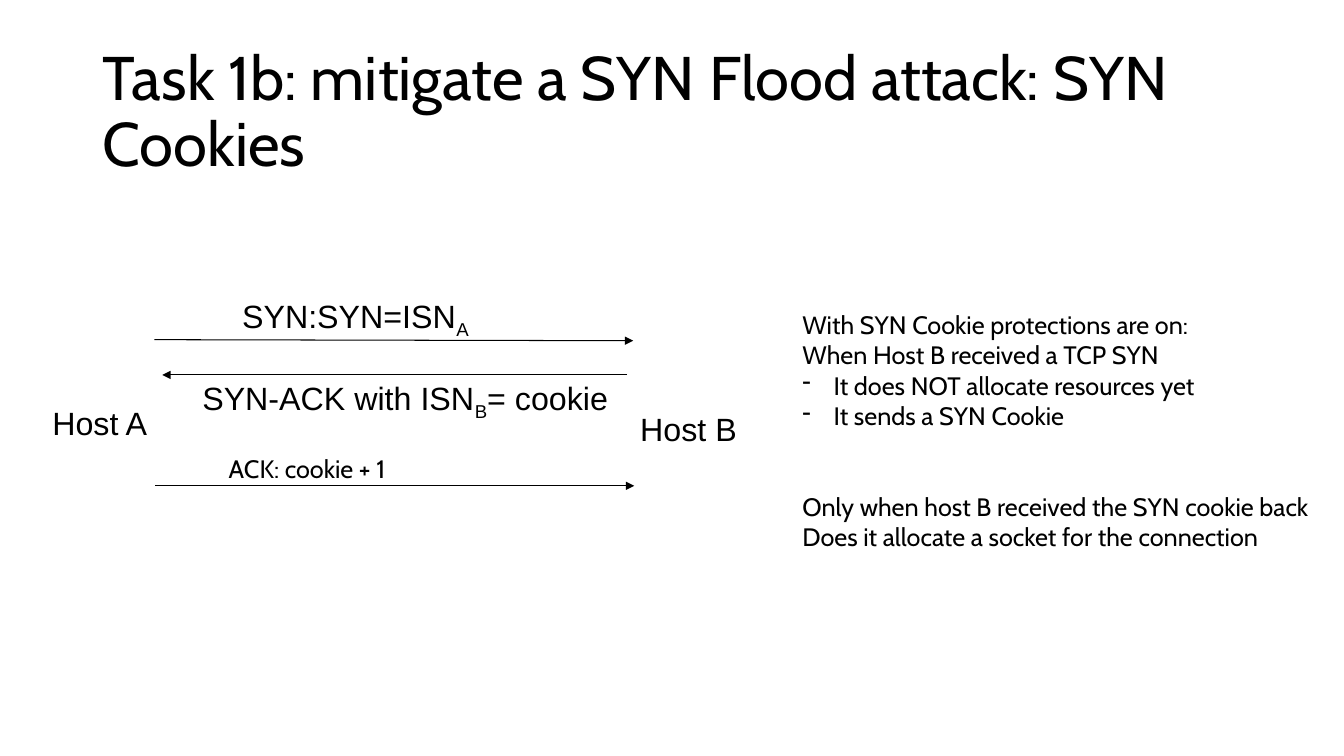
from lxml import etree
from pptx import Presentation
from pptx.dml.color import RGBColor
from pptx.enum.shapes import MSO_CONNECTOR
from pptx.enum.text import MSO_ANCHOR, MSO_AUTO_SIZE, PP_ALIGN
from pptx.oxml.ns import qn
from pptx.util import Inches, Pt

BLACK = RGBColor(0, 0, 0)
WHITE = RGBColor(255, 255, 255)
LEFT, CENTER = PP_ALIGN.LEFT, PP_ALIGN.CENTER
MIDDLE = MSO_ANCHOR.MIDDLE
GROW, FIXED = MSO_AUTO_SIZE.SHAPE_TO_FIT_TEXT, MSO_AUTO_SIZE.NONE
STRAIGHT = MSO_CONNECTOR.STRAIGHT
SANS, HUMAN = "Arial", "Cabin"


def style(font, name, size):
    font.name, font.size = name, Pt(size)
    font.color.rgb = BLACK


def add_text(slide, box):
    frame = slide.shapes.add_textbox(*map(Inches, box)).text_frame
    frame.word_wrap = False
    frame.auto_size = GROW
    return frame


def add_label(slide, box, parts):
    """Centred label; every second part is a subscript."""
    frame = add_text(slide, box)
    frame.margin_left = frame.margin_right = Inches(0.14)
    frame.margin_top = frame.margin_bottom = Inches(0.07)
    para = frame.paragraphs[0]
    para.alignment = CENTER
    for i, part in enumerate(parts):
        run = para.add_run()
        run.text = part
        style(run.font, SANS, 23)
        if i % 2:
            run.font._element.set("baseline", "-25000")


def add_arrow(slide, start, end):
    line = slide.shapes.add_connector(STRAIGHT, *map(Inches, start + end))
    line.line.color.rgb = BLACK
    line.line.width = Pt(0.75)
    etree.SubElement(line.line._get_or_add_ln(), qn("a:tailEnd"), type="triangle")
    etree.SubElement(line._element.spPr, qn("a:effectLst"))


def add_bullet(para, mark):
    props = para._p.get_or_add_pPr()
    props.set("marL", str(Inches(0.31)))
    props.set("indent", str(-Inches(0.31)))
    etree.SubElement(props, qn("a:buChar"), char=mark)


def add_title(slide, box):
    title = slide.shapes.title
    title.left, title.top, title.width, title.height = map(Inches, box)
    frame = title.text_frame
    frame.text = "Task 1b: mitigate a SYN Flood attack: SYN Cookies"
    frame.word_wrap = True
    frame.auto_size = FIXED
    frame.vertical_anchor = MIDDLE
    para = frame.paragraphs[0]
    para.alignment = LEFT
    para.line_spacing = 0.9
    style(para.runs[0].font, HUMAN, 44)


def add_shake(slide, box):
    """Handshake between the two hosts."""
    x, y, width, _ = box
    # Hosts
    add_label(slide, (x, y + 1.06, 1.24, 0.53), ["Host A"])
    add_label(slide, (x + width - 1.26, y + 1.12, 1.26, 0.53), ["Host B"])
    # Arrows
    near, far = x + 1.16, x + width - 1.18
    add_arrow(slide, (near, y + 0.5), (far, y + 0.51))
    add_arrow(slide, (far - 0.06, y + 0.85), (near + 0.08, y + 0.85))
    add_arrow(slide, (near + 0.01, y + 1.95), (far + 0.01, y + 1.95))
    # Messages
    add_label(slide, (x + 1.87, y, 2.57, 0.53), ["SYN:SYN=ISN", "A"])
    add_label(slide, (x + 1.47, y + 0.81, 4.36, 0.53),
              ["SYN-ACK with ISN", "B", "= cookie"])
    reply = add_text(slide, (x + 1.8, y + 1.58, 1.89, 0.4))
    reply.text = "ACK: cookie + 1"
    style(reply.paragraphs[0].runs[0].font, HUMAN, 18)


def add_notes(slide, box):
    """Explanation beside the handshake: text, bullet, space before."""
    rows = [
        ("With SYN Cookie protections are on:\nWhen Host B received a TCP SYN", "", 0),
        ("It does NOT allocate resources yet", "-", 0),
        ("It sends a SYN Cookie", "-", 0),
        ("Only when host B received the SYN cookie back", "", 43.5),
        ("Does it allocate a socket for the connection", "", 0),
    ]
    frame = add_text(slide, box)
    for i, (text, mark, space) in enumerate(rows):
        para = frame.add_paragraph() if i else frame.paragraphs[0]
        para.text = text
        if space:
            para.space_before = Pt(space)
        if mark:
            add_bullet(para, mark)
        for run in para.runs:
            style(run.font, HUMAN, 18)


def main():
    deck = Presentation()
    deck.slide_width, deck.slide_height = Inches(13.33), Inches(7.5)
    slide = deck.slides.add_slide(deck.slide_layouts[5])
    slide.background.fill.solid()
    slide.background.fill.fore_color.rgb = WHITE
    add_title(slide, (0.92, 0.4, 11.5, 1.45))
    add_shake(slide, (0.37, 2.87, 7.09, 1.98))
    add_notes(slide, (7.86, 3.02, 5.33, 2.52))
    deck.save("out.pptx")


if __name__ == "__main__":
    main()
